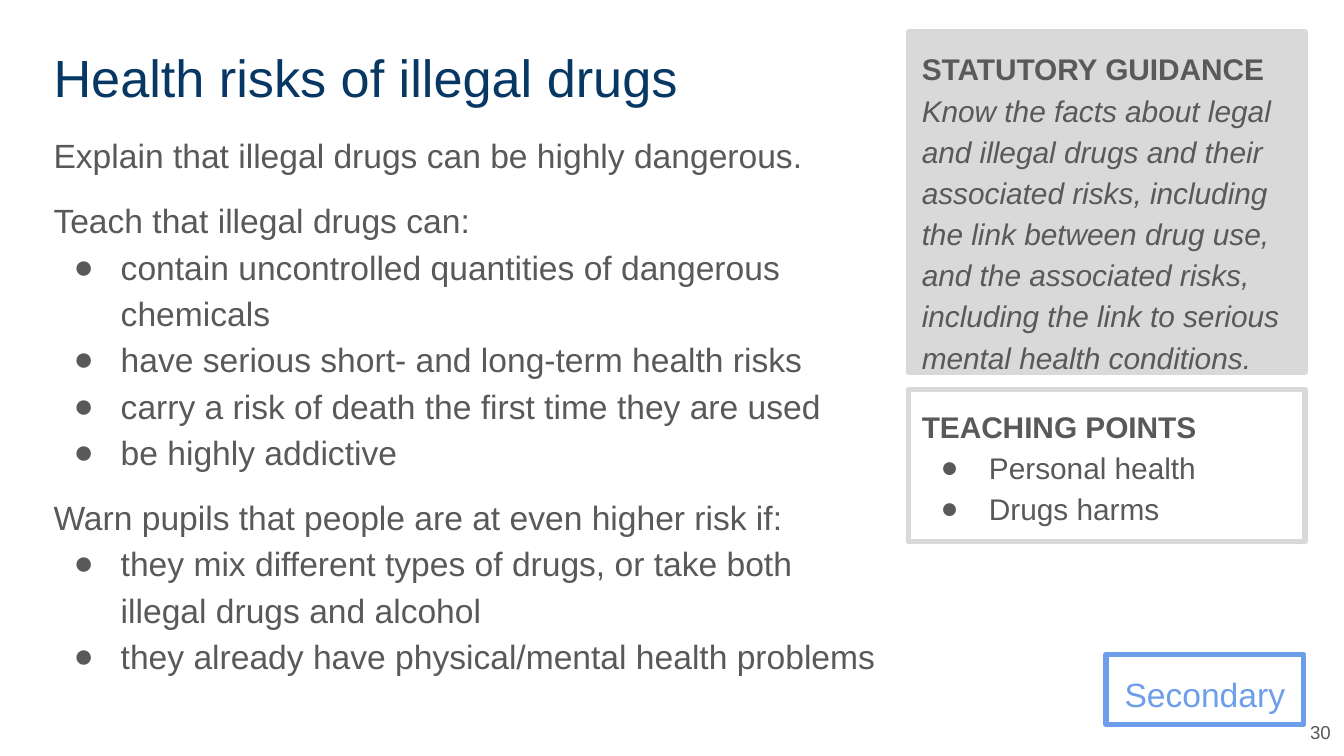
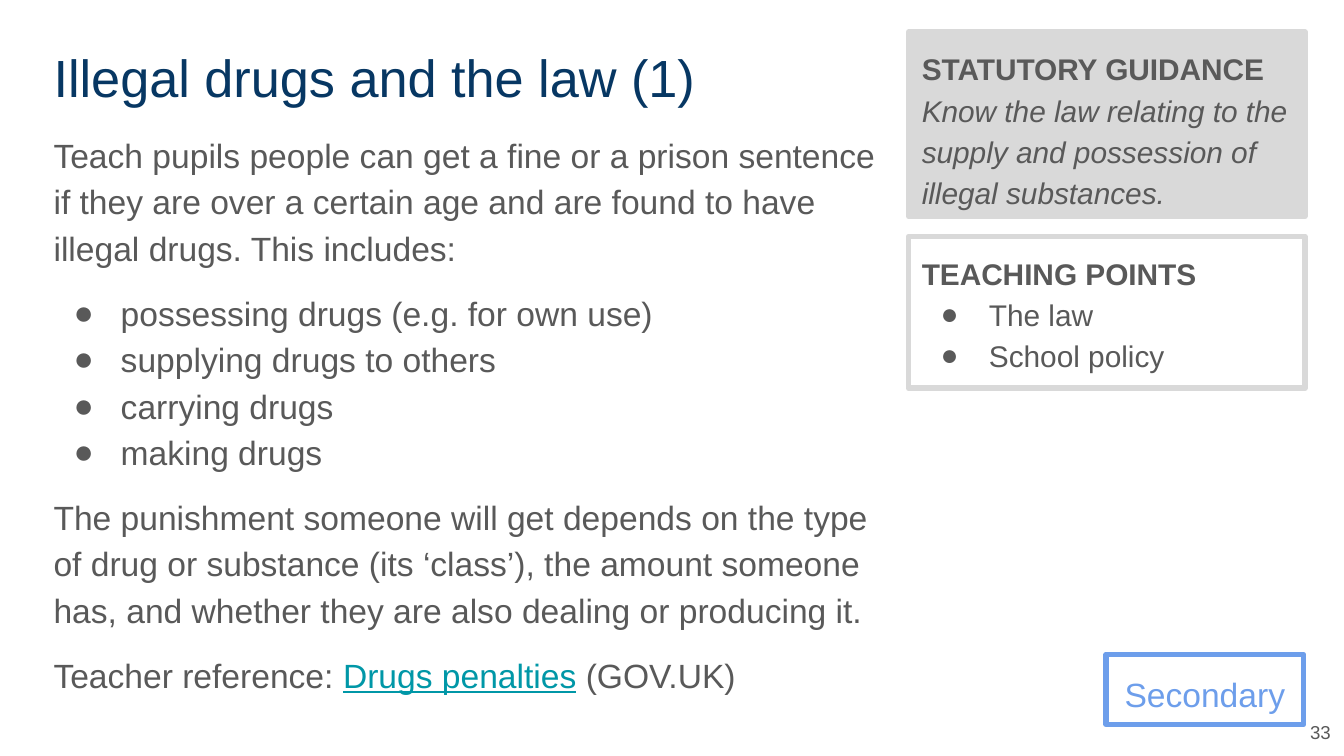
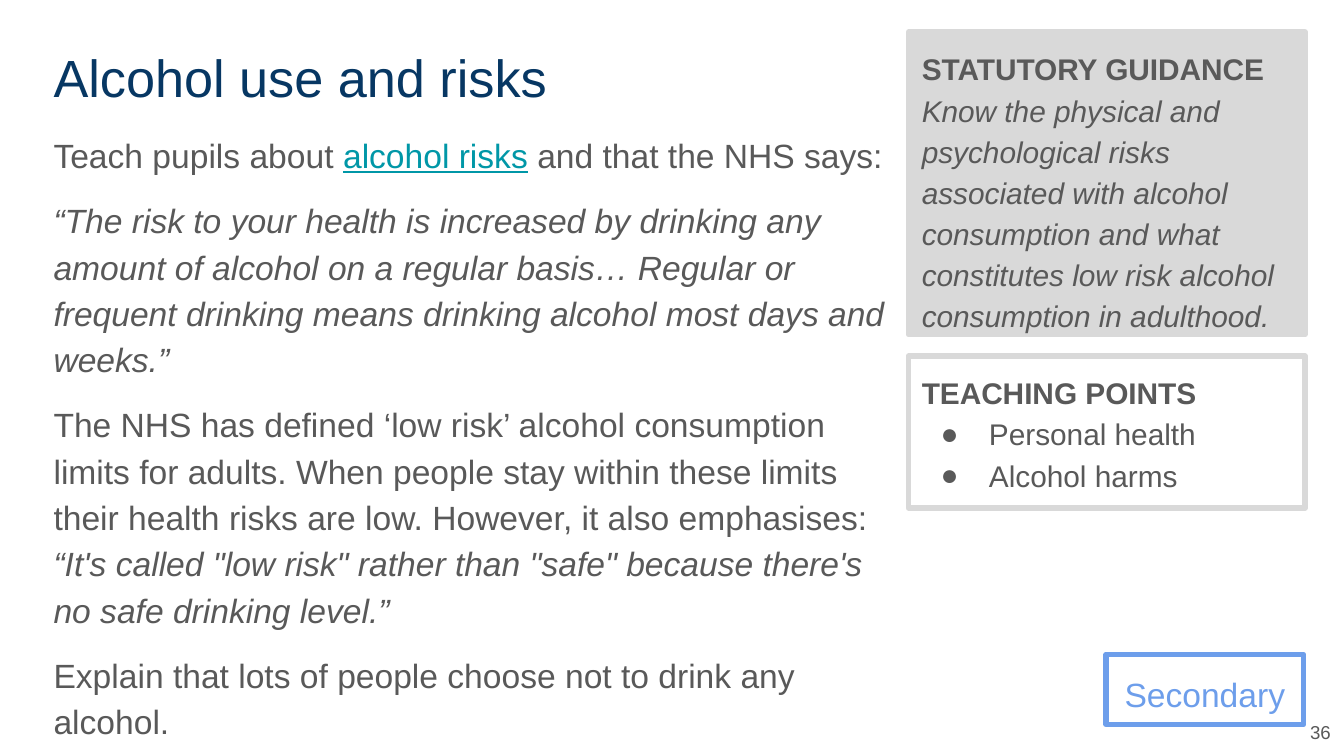
from copy import deepcopy
from dataclasses import dataclass

from lxml import etree
from pptx import Presentation
from pptx.dml.color import RGBColor
from pptx.enum import shapes, text
from pptx.oxml import ns
from pptx.util import Inches, Pt

FONT = "Arial"
NAVY, GREY, SILVER = "073763", "595959", "D9D9D9"
TEAL, BLUE = "0097A7", "6D9EEB"
PANEL_LEFT, PANEL_WIDTH = 6.76, 2.95
TOP = 0.24
BORDER = 3
LEFT, CENTER, RIGHT = text.PP_ALIGN.LEFT, text.PP_ALIGN.CENTER, text.PP_ALIGN.RIGHT


@dataclass
class Run:
    text: str
    bold: bool = False
    italic: bool = False
    link: bool = False
    break_after: bool = False


@dataclass
class Block:
    """One paragraph: its runs, the points above it, and its bullet."""
    runs: list
    before: int = 0
    bullet: bool = False


def plain(words, before=10):
    return Block([Run(words)], before)


def bullets(*items, before=0):
    return [Block([Run(item)], 0 if index else before, True)
            for index, item in enumerate(items)]


def color(value):
    return RGBColor.from_string(value)


def add_child(parent, tag, **attributes):
    return etree.SubElement(parent, ns.qn(tag), attributes)


def add_bullet(paragraph, size, hanging):
    properties = paragraph._p.get_or_add_pPr()
    properties.set("marL", str(Inches(0.5)))
    properties.set("indent", str(-Inches(hanging)))
    add_child(add_child(properties, "a:buClr"), "a:srgbClr", val=GREY)
    add_child(properties, "a:buSzPts", val=str(size * 100))
    add_child(properties, "a:buFont", typeface=FONT)
    add_child(properties, "a:buChar", char="●")


def add_run(paragraph, run, size, ink):
    part = paragraph.add_run()
    part.text = run.text
    font = part.font
    font.name, font.size = FONT, Pt(size)
    font.bold, font.italic, font.underline = run.bold, run.italic, run.link
    font.color.rgb = color(TEAL if run.link else ink)
    if run.break_after:
        paragraph.add_line_break()
        paragraph._p[-1].append(deepcopy(part._r.rPr))


def write(shape, blocks, size, ink=GREY, align=LEFT, spacing=1.15,
          hanging=0.35, anchor=text.MSO_ANCHOR.TOP):
    frame = shape.text_frame
    frame.word_wrap = True
    frame.vertical_anchor = anchor
    frame.margin_left = frame.margin_right = Inches(0.1)
    frame.margin_top = frame.margin_bottom = Inches(0.1)
    for index, block in enumerate(blocks):
        paragraph = frame.add_paragraph() if index else frame.paragraphs[0]
        paragraph.alignment = align
        paragraph.line_spacing = spacing
        paragraph.space_before = Pt(block.before)
        if block.bullet:
            add_bullet(paragraph, size, hanging)
        for run in block.runs:
            add_run(paragraph, run, size, ink)


def add_text(slide, left, top, width, height, blocks, size, **style):
    box = slide.shapes.add_textbox(*map(Inches, (left, top, width, height)))
    write(box, blocks, size, **style)


def add_frame(slide, left, top, width, height, line, fill=None):
    """Add a rectangle with a thick, round-cornered border."""
    shape = slide.shapes.add_shape(shapes.MSO_SHAPE.RECTANGLE,
                                   *map(Inches, (left, top, width, height)))
    shape.shadow.inherit = False
    if fill:
        shape.fill.solid()
        shape.fill.fore_color.rgb = color(fill)
    else:
        shape.fill.background()
    shape.line.color.rgb = color(line)
    shape.line.width = Pt(BORDER)
    add_child(shape.line._get_or_add_ln(), "a:round")
    return shape


def add_guidance(slide, height, words):
    panel = add_frame(slide, PANEL_LEFT, TOP, PANEL_WIDTH, height, SILVER, SILVER)
    heading = Run("STATUTORY GUIDANCE", bold=True, break_after=True)
    write(panel, [Block([heading, Run(words, italic=True)])], 16)


def add_teaching_points(slide, top, points):
    panel = add_frame(slide, PANEL_LEFT, top, PANEL_WIDTH, 1.13, SILVER)
    heading = Block([Run("TEACHING POINTS", bold=True)])
    write(panel, [heading, *bullets(*points)], 16, hanging=0.36)


def add_footer(slide, number):
    badge = add_frame(slide, 8.23, 4.87, 1.47, 0.52, BLUE)
    write(badge, [plain("Secondary", 0)], 18, BLUE, CENTER)
    add_text(slide, 9.61, 5.26, 0.39, 0.37, [plain(str(number), 0)], 10,
             align=RIGHT, spacing=1.0, anchor=text.MSO_ANCHOR.MIDDLE)


def add_lesson(presentation, number, title, body, guidance, guidance_height,
               points, points_top, body_width=6.32):
    slide = presentation.slides.add_slide(presentation.slide_layouts[6])
    add_text(slide, 0.3, TOP, 6.41, 0.63, [plain(title, 0)], 28,
             ink=NAVY, spacing=1.0)
    add_text(slide, 0.3, 0.86, body_width, 4.01, body, 18)
    add_guidance(slide, guidance_height, guidance)
    add_teaching_points(slide, points_top, points)
    add_footer(slide, number)


def main():
    presentation = Presentation()
    presentation.slide_width = Inches(10)
    presentation.slide_height = Inches(10) * 9 // 16

    add_lesson(
        presentation, 30, "Health risks of illegal drugs",
        [plain("Explain that illegal drugs can be highly dangerous.", 0),
         plain("Teach that illegal drugs can:"),
         *bullets("contain uncontrolled quantities of dangerous chemicals",
                  "have serious short- and long-term health risks",
                  "carry a risk of death the first time they are used",
                  "be highly addictive"),
         plain("Warn pupils that people are at even higher risk if:"),
         *bullets("they mix different types of drugs, or take both illegal "
                  "drugs and alcohol",
                  "they already have physical/mental health problems")],
        "Know the facts about legal and illegal drugs and their associated "
        "risks, including the link between drug use, and the associated risks, "
        "including the link to serious mental health conditions.", 2.53,
        ["Personal health", "Drugs harms"], 2.9)

    add_lesson(
        presentation, 33, "Illegal drugs and the law (1)",
        [plain("Teach pupils people can get a fine or a prison sentence if they "
               "are over a certain age and are found to have illegal drugs. "
               "This includes:", 0),
         *bullets("possessing drugs (e.g. for own use)",
                  "supplying drugs to others", "carrying drugs",
                  "making drugs", before=10),
         plain("The punishment someone will get depends on the type of drug or "
               "substance (its ‘class’), the amount someone has, and whether "
               "they are also dealing or producing it."),
         Block([Run("Teacher reference: "), Run("Drugs penalties", link=True),
                Run(" (GOV.UK)")], 10)],
        "Know the law relating to the supply and possession of illegal "
        "substances.", 1.37,
        ["The law", "School policy"], 1.76)

    add_lesson(
        presentation, 36, "Alcohol use and risks",
        [Block([Run("Teach pupils about "), Run("alcohol risks", link=True),
                Run(" and that the NHS says:")]),
         Block([Run("“The risk to your health is increased by drinking any "
                    "amount of alcohol on a regular basis… Regular or frequent "
                    "drinking means drinking alcohol most days and weeks.”",
                    italic=True)], 10),
         Block([Run("The NHS has defined ‘low risk’ alcohol consumption limits "
                    "for adults. When people stay within these limits their "
                    "health risks are low. However, it also emphasises: "),
                Run("“It's called \"low risk\" rather than \"safe\" because "
                    "there's no safe drinking level.”", italic=True)], 10),
         plain("Explain that lots of people choose not to drink any alcohol.")],
        "Know the physical and psychological risks associated with alcohol "
        "consumption and what constitutes low risk alcohol consumption in "
        "adulthood.", 2.25,
        ["Personal health", "Alcohol harms"], 2.65, body_width=6.41)

    presentation.save("out.pptx")


if __name__ == "__main__":
    main()
